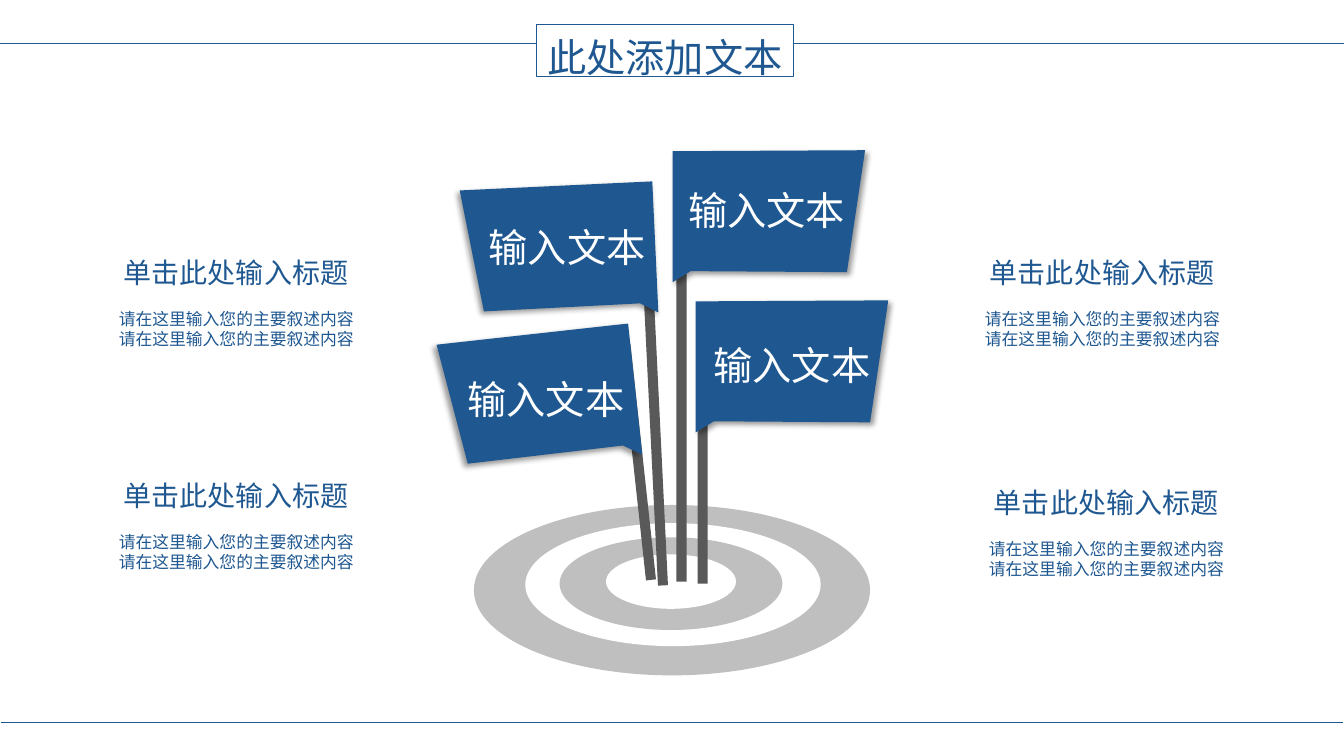
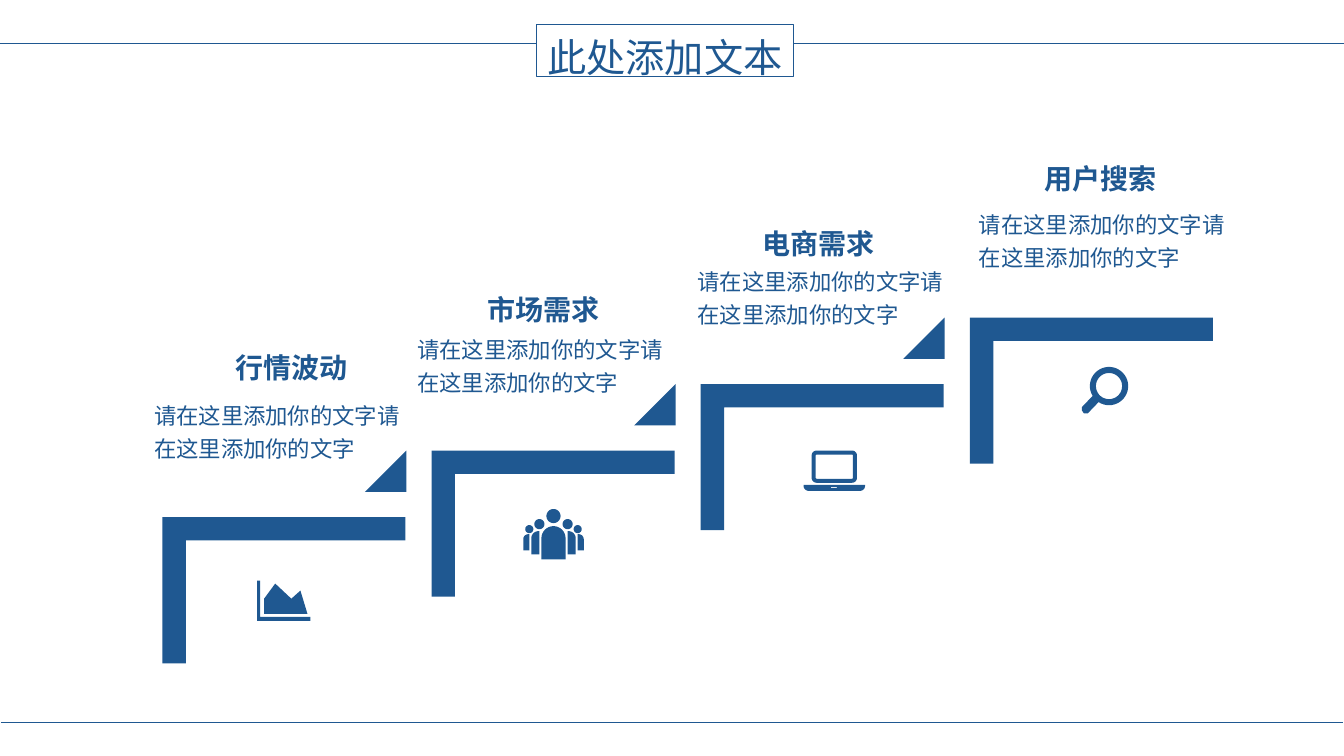
import math

from lxml import etree
from pptx import Presentation, util as u
from pptx.dml import color
from pptx.enum import shapes, text
from pptx.oxml import ns

COLORS = {"blue": "1F5891", "pole": "595959", "ring": "BFBFBF", "white": "FFFFFF", "shadow": "000000"}
FONT = "Noto Sans CJK SC"
MSO = shapes.MSO_SHAPE
FRAME = {"word_wrap": True, "margin_right": 0, "vertical_anchor": text.MSO_ANCHOR.TOP}


def rgb(name):
    return color.RGBColor.from_string(COLORS[name])


def apply(obj, **values):
    for name, value in values.items():
        setattr(obj, name, value)


def paint(sp, fill=None, line=None):
    sp.shadow.inherit = False
    if fill:
        sp.fill.solid()
        sp.fill.fore_color.rgb = rgb(fill)
    else:
        sp.fill.background()
    if line:
        sp.line.color.rgb = rgb(line)
        sp.line.width = u.Pt(0.75)
    else:
        sp.line.fill.background()
    return sp


def add_shape(slide, kind, box, fill=None, line=None, rotation=0, adjust=()):
    sp = paint(slide.shapes.add_shape(kind, *map(u.Inches, box)), fill, line)
    sp.rotation = rotation
    for i, value in enumerate(adjust):
        sp.adjustments[i] = value
    return sp


def add_outline(slide, x, y, contours, fill="blue"):
    builder = None
    for contour in contours:
        pts = [(u.Inches(x + px), u.Inches(y + py)) for px, py in contour]
        if builder is None:
            builder = slide.shapes.build_freeform(*pts[0], scale=1.0)
        else:
            builder.move_to(*pts[0])
        builder.add_line_segments(pts[1:], close=True)
    return paint(builder.convert_to_shape(), fill)


def write(p, words, size, line, fill="blue", bold=False, align=text.PP_ALIGN.LEFT, before=0, indent=0):
    apply(p, alignment=align, line_spacing=u.Pt(line), space_before=u.Pt(before))
    if indent:
        p._p.get_or_add_pPr().set("marL", str(u.Inches(indent)))
    r = p.add_run()
    r.text = words
    apply(r.font, name=FONT, size=u.Pt(size), bold=bold)
    r.font.color.rgb = rgb(fill)
    rPr = r._r.get_or_add_rPr()
    rPr.set("lang", "zh-CN")
    etree.SubElement(rPr, ns.qn("a:ea")).set("typeface", FONT)


def add_text(slide, box, *paragraphs):
    tf = slide.shapes.add_textbox(*map(u.Inches, box)).text_frame
    apply(tf, **FRAME)
    for i, values in enumerate(paragraphs):
        write(tf.add_paragraph() if i else tf.paragraphs[0], **values)


def add_rule(slide, x1, x2, y):
    cn = slide.shapes.add_connector(shapes.MSO_CONNECTOR.STRAIGHT, *map(u.Inches, (x1, y, x2, y)))
    cn.line.color.rgb = rgb("blue")
    cn.line.width = u.Pt(0.5)
    etree.SubElement(cn._element.spPr, ns.qn("a:effectLst"))


def add_frame(slide, title):
    left, top, width, height = box = (5.32, 0.24, 2.55, 0.52)
    tf = add_shape(slide, MSO.RECTANGLE, box, line="blue").text_frame
    apply(tf, **FRAME)
    apply(tf, margin_left=0, margin_top=0, margin_bottom=0)
    write(tf.paragraphs[0], title, 28, 40, align=text.PP_ALIGN.CENTER)
    for x1, x2, y in ((0, left, 0.43), (left + width, 13.33, 0.43), (0.01, 13.32, 7.17)):
        add_rule(slide, x1, x2, y)


def add_target(slide, x, y):
    rings = [(0, 0, 3.93, 1.69), (0.51, 0.18, 2.93, 1.22), (0.85, 0.32, 2.21, 0.92), (1.31, 0.49, 1.29, 0.54)]
    for i, (dx, dy, w, h) in enumerate(rings):
        add_shape(slide, MSO.OVAL, (x + dx, y + dy, w, h), "white" if i % 2 else "ring")


def add_flag(slide, x, y, outline, pole, tilt, label, angle):
    dx, dy, length = pole
    add_shape(slide, MSO.RECTANGLE, (x + dx, y + dy, 0.1, length), "pole", rotation=tilt)
    sp = add_outline(slide, x, y, [outline])
    effects = sp._element.spPr.find(ns.qn("a:effectLst"))
    shadow = etree.SubElement(effects, ns.qn("a:outerShdw"))
    for name, value in {"blurRad": u.Pt(4), "dist": u.Pt(3), "dir": angle * 60000, "algn": "ctr",
                        "rotWithShape": 0}.items():
        shadow.set(name, str(value))
    tint = etree.SubElement(shadow, ns.qn("a:srgbClr"))
    tint.set("val", COLORS["shadow"])
    etree.SubElement(tint, ns.qn("a:alpha")).set("val", "40000")
    add_text(slide, (x + label[0], y + label[1], 1.77, 0.57),
             {"words": "输入文本", "size": 28, "line": 36, "fill": "white"})


def add_caption(slide, x, y):
    body = {"words": "请在这里输入您的主要叙述内容", "size": 12, "line": 14.3}
    add_text(slide, (x, y, 2.56, 1.2),
             {"words": "单击此处输入标题", "size": 20, "line": 25, "indent": 0.05},
             {**body, "before": 14.4}, body)


def flags_slide(prs):
    slide = prs.slides.add_slide(prs.slide_layouts[6])
    add_target(slide, 4.7, 5.01)
    right = [(1.91, 0), (0, 0.01), (0, 1.31), (0.18, 1.2), (1.73, 1.21)]
    upper_left = [(0, 0.09), (1.91, 0), (1.97, 1.3), (1.79, 1.21), (0.24, 1.29)]
    lower_left = [(0, 0.21), (1.9, 0), (2.04, 1.3), (1.85, 1.21), (0.31, 1.39)]
    flags = [
        (6.67, 1.49, right, (0.04, 1.05, 3.23), 0, (0.06, 0.28), 45),
        (4.56, 1.8, upper_left, (1.89, 0.91, 3.1), 357.2, (0.19, 0.33), 135),
        (4.33, 3.21, lower_left, (1.95, 0.2, 2.35), 353.8, (0.21, 0.43), 135),
        (6.9, 2.98, right, (0.02, 0.02, 2.79), 0, (0.08, 0.32), 45),
    ]
    for flag in flags:
        add_flag(slide, *flag)
    for x, y in ((9.71, 4.75), (1.08, 2.47), (1.08, 4.68), (9.67, 2.47)):
        add_caption(slide, x, y)
    add_frame(slide, "此处添加文本")


def arc(cx, cy, radius, start, end, steps):
    angles = [math.radians(start + (end - start) * i / steps) for i in range(steps + 1)]
    return [(cx + radius * math.cos(a), cy + radius * math.sin(a)) for a in angles]


def rounded(x, y, w, h, tl=0, tr=0, br=0, bl=0):
    corners = [(x + tl, y + tl, tl, 180), (x + w - tr, y + tr, tr, 270),
               (x + w - br, y + h - br, br, 0), (x + bl, y + h - bl, bl, 90)]
    return [pt for cx, cy, radius, a in corners
            for pt in (arc(cx, cy, radius, a, a + 90, 8) if radius else [(cx, cy)])]


def circle(cx, cy, radius):
    return arc(cx, cy, radius, 0, 360, 36)


def chart_icon():
    axes = [(0, 0), (0.03, 0), (0.03, 0.36), (0.53, 0.36), (0.53, 0.4), (0, 0.4)]
    area = [(0.07, 0.33), (0.07, 0.18), (0.18, 0.03), (0.34, 0.18), (0.43, 0.1), (0.5, 0.33)]
    return [axes, area]


def people_icon():
    side = [circle(0.06, 0.2, 0.04), rounded(0, 0.25, 0.06, 0.16, tl=0.05),
            circle(0.16, 0.15, 0.05), rounded(0.08, 0.22, 0.08, 0.23, tl=0.07)]
    mirrored = [[(0.6 - x, y) for x, y in contour] for contour in side]
    return side + mirrored + [circle(0.3, 0.07, 0.07), rounded(0.18, 0.17, 0.24, 0.33, 0.12, 0.12)]


def laptop_icon():
    return [rounded(0, 0.34, 0.61, 0.06, br=0.05, bl=0.05),
            rounded(0.08, 0, 0.45, 0.32, *[0.05] * 4),
            rounded(0.12, 0.04, 0.37, 0.24, *[0.01] * 4),
            rounded(0.27, 0.36, 0.06, 0.01)]


def search_icon():
    handle = [(0.07, 0.46), (0.03, 0.46), (0.01, 0.43), (0.01, 0.4)]
    return [arc(0.28, 0.19, 0.19, 149, 483, 40) + handle, circle(0.28, 0.19, 0.13)]


def add_step(slide, x, y, name, title_at, body_at, icon, icon_at):
    add_outline(slide, x + icon_at[0], y + icon_at[1], icon())
    add_text(slide, (x + body_at[0], y + body_at[1], 2.66, 0.91),
             {"words": "请在这里添加你的文字" "请在这里添加你的文字", "size": 16, "line": 23.4})
    add_text(slide, (x + title_at[0], y + title_at[1], 1.38, 0.49),
             {"words": name, "size": 20, "line": 30.5, "bold": True})
    width, height = 2.41, 1.45
    shift = (width - height) / 2
    add_shape(slide, MSO.CORNER, (x + shift, y - shift, height, width), "blue",
              rotation=90, adjust=(0.16, 0.16))


def steps_slide(prs):
    slide = prs.slides.add_slide(prs.slide_layouts[6])
    steps = [
        ("行情波动", (0.63, -1.79), (-0.18, -1.25), chart_icon, (0.94, 0.63)),
        ("市场需求", (0.46, -1.71), (-0.24, -1.24), people_icon, (0.91, 0.58)),
        ("电商需求", (0.51, -1.7), (-0.13, -1.26), laptop_icon, (1.02, 0.66)),
        ("用户搜索", (0.64, -1.69), (-0.01, -1.16), search_icon, (1.1, 0.49)),
    ]
    for i, step in enumerate(steps):
        x, y = 1.61 + 2.67 * i, 5.13 - 0.66 * i
        add_step(slide, x, y, *step)
        if i < len(steps) - 1:
            add_shape(slide, MSO.ISOSCELES_TRIANGLE, (x + 2.01, y - 0.66, 0.41, 0.41), "blue", adjust=(1,))
    add_frame(slide, "此处添加文本")


def main():
    prs = Presentation()
    apply(prs, slide_width=u.Inches(13.33), slide_height=u.Inches(7.5))
    flags_slide(prs)
    steps_slide(prs)
    prs.save("out.pptx")


if __name__ == "__main__":
    main()
